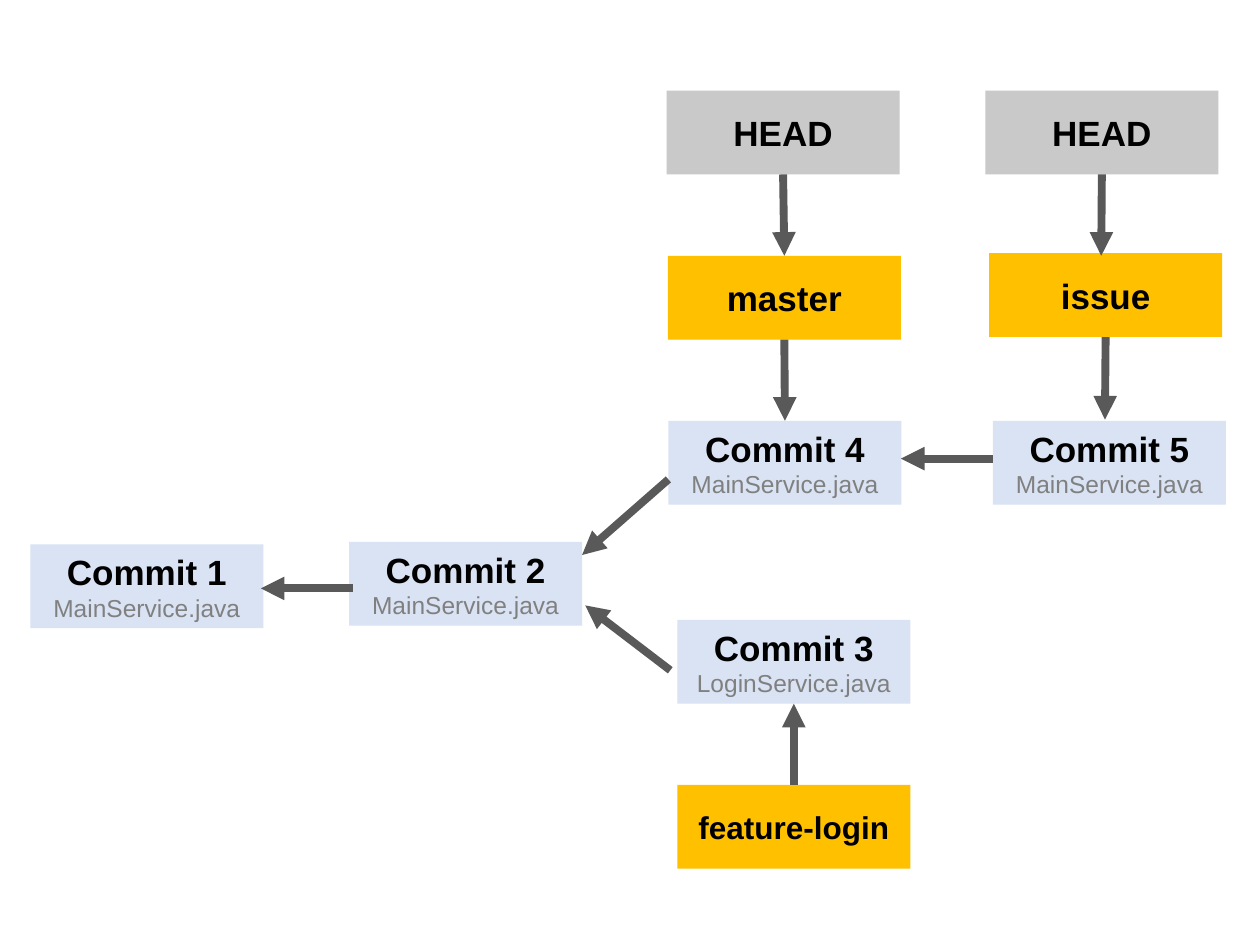
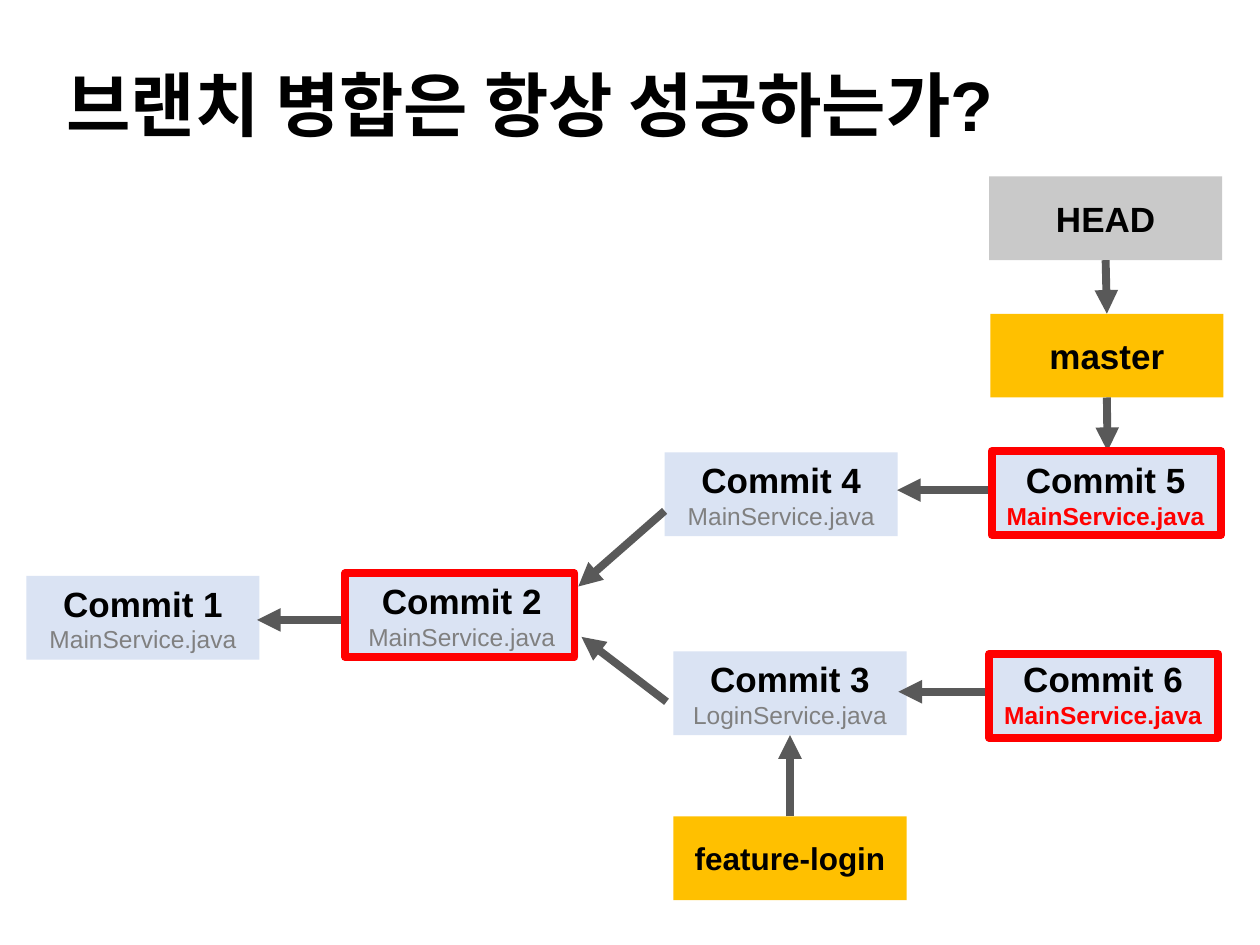
from pptx import Presentation
from pptx.dml.color import RGBColor
from pptx.enum.shapes import MSO_CONNECTOR, MSO_SHAPE
from pptx.enum.text import MSO_ANCHOR, PP_ALIGN
from pptx.oxml.ns import qn
from pptx.util import Inches, Pt
from lxml.etree import SubElement

BLACK = RGBColor(0x00, 0x00, 0x00)
FILE_GREY = RGBColor(0x80, 0x80, 0x80)
ARROW_GREY = RGBColor(0x59, 0x59, 0x59)
COMMIT_BLUE = RGBColor(0xDA, 0xE3, 0xF3)
BRANCH_AMBER = RGBColor(0xFF, 0xC0, 0x00)
HEAD_GREY = RGBColor(0xC9, 0xC9, 0xC9)
CONFLICT_RED = RGBColor(0xFF, 0x00, 0x00)

FONT = "Arial"
STROKE = Pt(4.5)
TOP, BOTTOM = 0, 2

# The slide is a grid of 100 columns and 75 rows
WIDTH, HEIGHT = Inches(10), Inches(7.5)
COLUMN, ROW = WIDTH / 100, HEIGHT / 75
BOX_COLUMNS, BOX_ROWS = 18.5, 6.65
FRAME_COLUMNS = 18.2
MAIN_FILE, LOGIN_FILE = "MainService.java", "LoginService.java"


def on_grid(column, row):
    return round(column * COLUMN), round(row * ROW)


def write(paragraph, text, size, color=BLACK, bold=True, align=PP_ALIGN.CENTER):
    paragraph.text = text
    paragraph.alignment = align
    font = paragraph.font
    font.name, font.size, font.bold = FONT, Pt(size), bold
    font.color.rgb = color


def add_box(slide, column, row, fill, label, size=20):
    box = slide.shapes.add_shape(MSO_SHAPE.RECTANGLE, *on_grid(column, row),
                                 *on_grid(BOX_COLUMNS, BOX_ROWS))
    box.shadow.inherit = False
    box.fill.solid()
    box.fill.fore_color.rgb = fill
    box.line.fill.background()
    box.text_frame.vertical_anchor = MSO_ANCHOR.MIDDLE
    write(box.text_frame.paragraphs[0], label, size)
    return box


def add_commit(slide, column, row, number, file_name=MAIN_FILE, conflict=False):
    commit = add_box(slide, column, row, COMMIT_BLUE, f"Commit {number}")
    write(commit.text_frame.add_paragraph(), file_name, 14,
          CONFLICT_RED if conflict else FILE_GREY, bold=conflict)
    return commit


def add_branch(slide, column, row, name, size=20):
    return add_box(slide, column, row, BRANCH_AMBER, name, size)


def add_head(slide, column, row):
    return add_box(slide, column, row, HEAD_GREY, "HEAD")


def add_arrow(slide, start, end, source=None, target=None):
    """Draw an arrow; source and target are (box, side) pairs to join."""
    arrow = slide.shapes.add_connector(MSO_CONNECTOR.STRAIGHT,
                                       *on_grid(*start), *on_grid(*end))
    arrow.line.color.rgb = ARROW_GREY
    arrow.line.width = STROKE
    SubElement(arrow.line._get_or_add_ln(), qn("a:tailEnd"), type="triangle")
    SubElement(arrow._element.spPr, qn("a:effectLst"))
    if source:
        arrow.begin_connect(*source)
    if target:
        arrow.end_connect(*target)


def join(slide, source, source_side, target, target_side):
    add_arrow(slide, (0, 0), (0, 0), (source, source_side), (target, target_side))


def add_conflict_frame(slide, column, row):
    frame = slide.shapes.add_shape(MSO_SHAPE.RECTANGLE, *on_grid(column, row),
                                   *on_grid(FRAME_COLUMNS, BOX_ROWS))
    frame.shadow.inherit = False
    frame.fill.background()
    frame.line.color.rgb = CONFLICT_RED
    frame.line.width = STROKE


def add_title(slide, text):
    title = slide.shapes.add_textbox(*on_grid(4.3, 1.7), *on_grid(95.4, 13.1))
    title.text_frame.word_wrap = True
    title.text_frame.vertical_anchor = MSO_ANCHOR.MIDDLE
    write(title.text_frame.paragraphs[0], text, 40, align=PP_ALIGN.LEFT)


def add_history(slide, left, top, conflict=False):
    """Commits 1 to 5 and the login branch, with Commit 1 at (left, top)."""
    def at(column, row):
        return left + column, top + row

    add_commit(slide, *at(25.3, -0.2), 2)
    add_commit(slide, *at(0, 0), 1)
    login = add_branch(slide, *at(51.35, 19.1), "feature-login", 18)
    commit_3 = add_commit(slide, *at(51.35, 6), 3, LOGIN_FILE)
    commit_4 = add_commit(slide, *at(50.65, -9.8), 4)
    add_commit(slide, *at(76.4, -9.8), 5, conflict=conflict)
    for start, end in (((50.8, 10), (44.05, 4.85)),
                       ((25.6, 3.5), (18.3, 3.5)),
                       ((50.65, -5.15), (43.8, 0.85)),
                       ((76.4, -6.8), (69.1, -6.8))):
        add_arrow(slide, at(*start), at(*end))
    join(slide, login, TOP, commit_3, BOTTOM)
    return commit_4


def add_before_merge(slide):
    commit_4 = add_history(slide, 2.4, 43.2)
    # Branches and the two places HEAD can stand
    master = add_branch(slide, 53, 20.3, "master")
    issue = add_branch(slide, 78.5, 20.1, "issue")
    master_head = add_head(slide, 52.9, 7.2)
    issue_head = add_head(slide, 78.2, 7.2)
    join(slide, master, BOTTOM, commit_4, TOP)
    join(slide, master_head, BOTTOM, master, TOP)
    add_arrow(slide, (87.7, 26.8), (87.7, 33.3), (issue, BOTTOM))
    add_arrow(slide, (87.4, 13.8), (87.4, 20.3), (issue_head, BOTTOM))


def add_merge_conflict(slide):
    add_history(slide, 2.1, 45.7, conflict=True)
    # Master moves on to Commit 5
    master = add_branch(slide, 78.6, 24.9, "master")
    head = add_head(slide, 78.5, 14)
    join(slide, head, BOTTOM, master, TOP)
    add_arrow(slide, (87.8, 31.6), (87.9, 35.8), (master, BOTTOM))
    # The login line gains a commit that touches the same file
    add_commit(slide, 78.3, 51.7, 6, conflict=True)
    add_arrow(slide, (78.6, 54.9), (71.3, 54.9))
    for column, row in ((27.4, 45.5), (78.7, 35.8), (78.5, 51.9)):
        add_conflict_frame(slide, column, row)
    add_title(slide, "브랜치 병합은 항상 성공하는가?")


def main():
    deck = Presentation()
    deck.slide_width, deck.slide_height = WIDTH, HEIGHT
    blank = deck.slide_layouts[6]
    for build in (add_before_merge, add_merge_conflict):
        build(deck.slides.add_slide(blank))
    deck.save("out.pptx")


if __name__ == "__main__":
    main()
